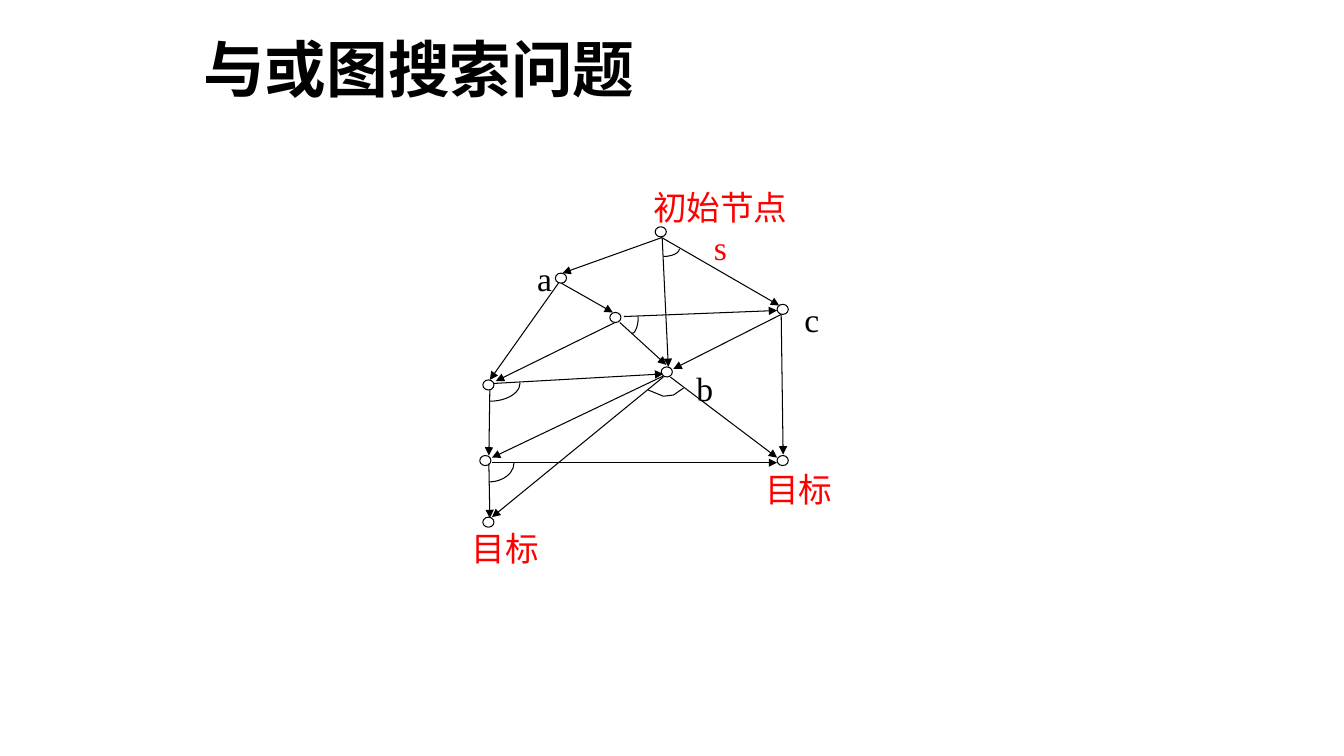
import pptx
import pptx.util
import pptx.dml.color
import pptx.enum.shapes
import pptx.enum.text
import pptx.oxml
from pptx.oxml.ns import qn

Pt = pptx.util.Pt
SHAPE = pptx.enum.shapes.MSO_SHAPE
ALIGN = pptx.enum.text.PP_ALIGN
ANCHOR = pptx.enum.text.MSO_ANCHOR

THEME = {
    "black": pptx.dml.color.RGBColor(0, 0, 0),
    "red": pptx.dml.color.RGBColor(255, 0, 0),
    "title": 44, "label": 24, "line": 0.75,
    "latin": "Times New Roman", "asian": "Noto Sans CJK SC",
}
SIZE = (960, 540)
NODE = (8, 7.2)
TITLE = ("与或图搜索问题", (138.2, 18, 658.8, 67.7))

NODES = [
    (468, 162), (396.7, 195.1), (435.6, 223.2), (472.3, 262.1), (555.1, 217.4),
    (344.9, 271.4), (342.7, 325.4), (555.1, 325.4), (344.9, 369.4),
]
EDGES = [
    (473, 169.6, 401.8, 195.1), (473, 169.9, 477.4, 262.1),
    (473, 169.9, 556.6, 218.2), (398.9, 202.3, 349.9, 271.4),
    (401, 202.3, 437.8, 223.2), (442.8, 230.4, 475.9, 260.6),
    (445.7, 226.1, 555.1, 221.8), (352.8, 273.9, 473.8, 267.1),
    (349.9, 278.6, 349.2, 325.4), (558, 224.6, 481, 263.5),
    (558, 224.6, 559.4, 324.7), (473.8, 268.6, 351.4, 326.9),
    (473.8, 269.3, 351.4, 369.4), (478.8, 269.3, 555.1, 326.9),
    (351.4, 330.5, 555.1, 330.5), (349.2, 331.2, 349.9, 370.1),
    (439.2, 230.4, 354.2, 272.2),
]
ARCS = [
    (473.8, 177.8, 11.5, 5.4), (451.4, 226.1, 4.5, 12),
    (349.9, 273.6, 21.6, 13), (349.2, 330.5, 18, 13.7),
]
BEND = [(463, 278.6), (473.8, 283), (481, 282.2), (488.2, 277.2)]
REDS = [
    ("目标", (329.8, 373.7, 62.6, 36)),
    ("目标", (539.3, 331.2, 62.6, 36)),
    ("初始节点s", (456, 144, 117, 36)),
]
NAMES = [
    ("a", (376.6, 180.7, 25.2, 36)),
    ("b", (490.3, 259.2, 26.6, 36)),
    ("c", (567.4, 210.2, 25.2, 36)),
]


def stroke(part):
    part.line.color.rgb = THEME["black"]
    part.line.width = Pt(THEME["line"])


def outline(shape):
    shape.shadow.inherit = False
    shape.fill.background()
    stroke(shape)


def write(slide, text, box, size, color, font, wrap=False):
    frame = slide.shapes.add_textbox(*map(Pt, box)).text_frame
    frame.word_wrap = wrap
    para = frame.paragraphs[0]
    run = para.add_run()
    run.text = text
    para.font.size = Pt(size)
    para.font.name = font
    para.font.color.rgb = color
    props = run._r.get_or_add_rPr()
    props.set("lang", "zh-CN")
    asian = pptx.oxml.parse_xml(
        '<a:ea xmlns:a="http://schemas.openxmlformats.org/drawingml/2006/main"/>')
    asian.set("typeface", THEME["asian"])
    props.append(asian)
    return frame, para


def arrow(slide, ends):
    link = slide.shapes.add_connector(
        pptx.enum.shapes.MSO_CONNECTOR.STRAIGHT, *map(Pt, ends))
    stroke(link)
    props = link._element.spPr
    tail = props.find(qn("a:ln")).makeelement(qn("a:tailEnd"), {"type": "triangle"})
    props.find(qn("a:ln")).append(tail)
    props.append(props.makeelement(qn("a:effectLst"), {}))


def main():
    deck = pptx.Presentation()
    deck.slide_width, deck.slide_height = map(Pt, SIZE)
    slide = deck.slides.add_slide(deck.slide_layouts[6])

    frame, para = write(slide, *TITLE, THEME["title"], THEME["black"], THEME["asian"], True)
    frame.vertical_anchor = ANCHOR.MIDDLE
    para.font.bold = True
    para.line_spacing = 0.9

    for spot in NODES:
        outline(slide.shapes.add_shape(SHAPE.OVAL, *map(Pt, spot + NODE)))
    for ends in EDGES:
        arrow(slide, ends)
    for x, y, rx, ry in ARCS:
        arc = slide.shapes.add_shape(
            SHAPE.ARC, Pt(x - rx), Pt(y - ry), Pt(2 * rx), Pt(2 * ry))
        arc.adjustments[0], arc.adjustments[1] = 0, 54
        outline(arc)

    start, *rest = [(Pt(x), Pt(y)) for x, y in BEND]
    pen = slide.shapes.build_freeform(*start)
    pen.add_line_segments(rest, close=False)
    outline(pen.convert_to_shape())

    for text, box in REDS:
        frame, para = write(
            slide, text, box, THEME["label"], THEME["red"], THEME["latin"], True)
        frame.vertical_anchor = ANCHOR.MIDDLE
        para.alignment = ALIGN.CENTER
    for text, box in NAMES:
        write(slide, text, box, THEME["label"], THEME["black"], THEME["latin"])

    deck.save("out.pptx")


if __name__ == "__main__":
    main()
